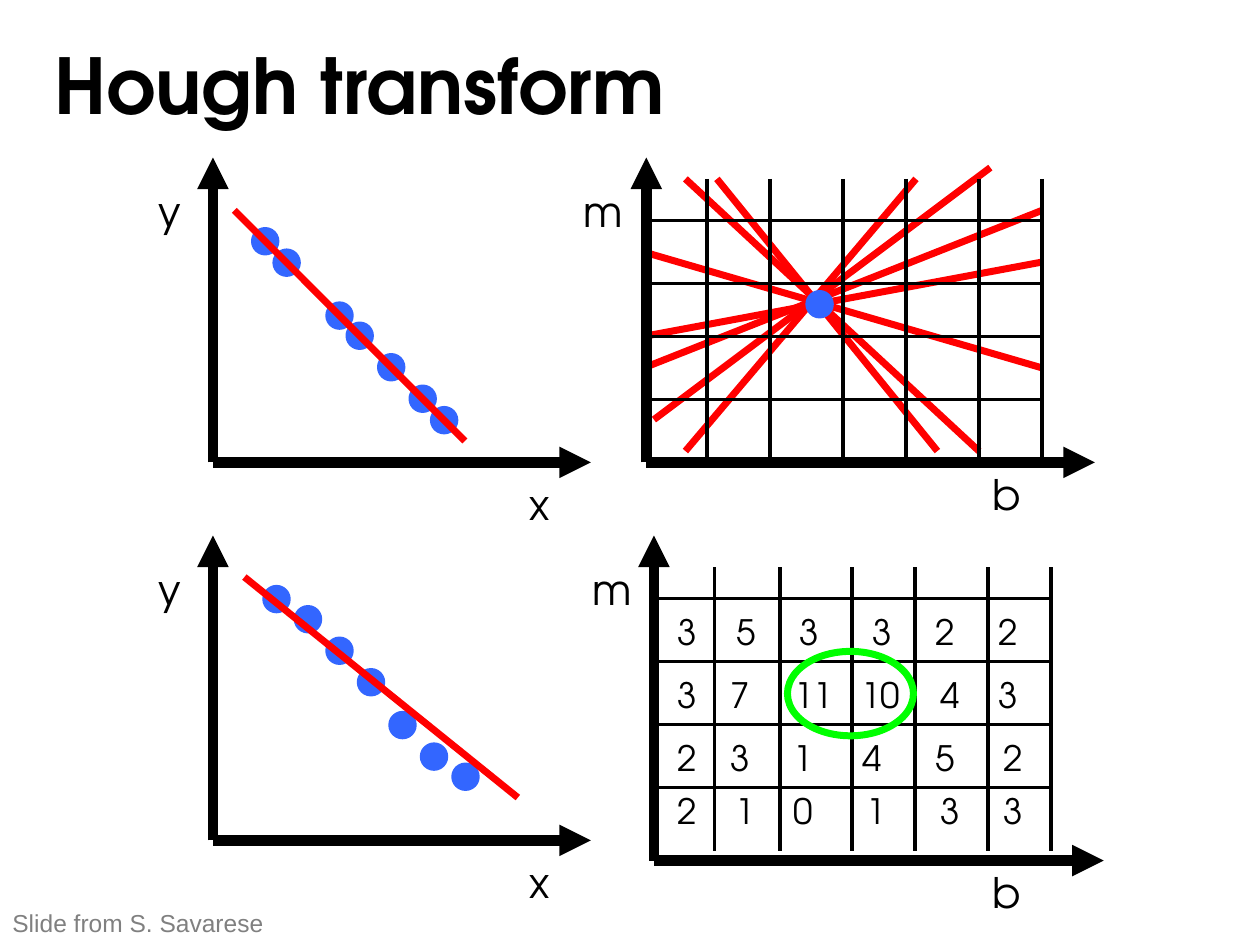
import pptx
import pptx.util
import pptx.dml.color
import pptx.enum.shapes
import pptx.enum.text
import pptx.oxml.ns
from lxml import etree

Inches = pptx.util.Inches
COLORS = {"ink": "000000", "dot": "3366FF", "fit": "FF0000", "peak": "00FF00", "credit": "808080"}
FONT = "TeX Gyre Adventor"
DOT = 0.17
VOTES = [
    (4.8, [("3", 5.27), ("5", 5.74), ("3", 6.24), ("3", 6.82), ("2", 7.32), ("2", 7.82)]),
    (5.3, [("3", 5.27), ("7", 5.69), ("11", 6.19), ("10", 6.72), ("4", 7.36), ("3", 7.82)]),
    (5.8, [("2", 5.27), ("3", 5.69), ("1", 6.19), ("4", 6.74), ("5", 7.32), ("2", 7.86)]),
    (6.22, [("2", 5.27), ("1", 5.73), ("0", 6.19), ("1", 6.77), ("3", 7.36), ("3", 7.86)]),
]


def rgb(name):
    return pptx.dml.color.RGBColor.from_string(COLORS[name])


def format_text(tf, text, size, color="ink", font=FONT, bold=False, align="CENTER", wrap=False):
    frame_format = {
        "word_wrap": wrap,
        "auto_size": pptx.enum.text.MSO_AUTO_SIZE.NONE,
        "vertical_anchor": pptx.enum.text.MSO_ANCHOR.TOP,
        "margin_left": Inches(0.1),
        "margin_right": Inches(0.1),
        "margin_top": Inches(0.05),
        "margin_bottom": Inches(0.05),
    }
    for key, value in frame_format.items():
        setattr(tf, key, value)
    p = tf.paragraphs[0]
    p.alignment = getattr(pptx.enum.text.PP_ALIGN, align)
    r = p.add_run()
    r.text = text
    for key, value in {"name": font, "size": pptx.util.Pt(size), "bold": bold}.items():
        setattr(r.font, key, value)
    r.font.color.rgb = rgb(color)


def add_title(s, text, x, y, w, h):
    sp = s.shapes.title
    for key, value in {"left": x, "top": y, "width": w, "height": h}.items():
        setattr(sp, key, Inches(value))
    format_text(sp.text_frame, text, 44, bold=True, align="LEFT", wrap=True)


def add_label(s, text, x, y, w, h=0.5, size=24, **style):
    sp = s.shapes.add_textbox(Inches(x), Inches(y), Inches(w), Inches(h))
    format_text(sp.text_frame, text, size, **style)


def add_line(s, start, end, color="ink", width=2, arrow=False):
    points = [Inches(v) for v in (*start, *end)]
    sp = s.shapes.add_connector(pptx.enum.shapes.MSO_CONNECTOR.STRAIGHT, *points)
    sp.line.color.rgb = rgb(color)
    sp.line.width = pptx.util.Pt(width)
    if arrow:
        ln = sp.line._get_or_add_ln()
        etree.SubElement(ln, pptx.oxml.ns.qn("a:tailEnd"), type="triangle")
    etree.SubElement(sp._element.spPr, pptx.oxml.ns.qn("a:effectLst"))


def add_ellipse(s, x, y, w, h, color, filled=True):
    box = [Inches(v) for v in (x, y, w, h)]
    sp = s.shapes.add_shape(pptx.enum.shapes.MSO_SHAPE.OVAL, *box)
    sp.shadow.inherit = False
    if filled:
        sp.fill.solid()
        sp.fill.fore_color.rgb = rgb(color)
    else:
        sp.fill.background()
    sp.line.color.rgb = rgb(color)
    sp.line.width = pptx.util.Pt(4)


def add_axes(s, x, y, top, right):
    add_line(s, (x, y), (x, top), width=6, arrow=True)
    add_line(s, (x, y), (right, y), width=6, arrow=True)


def add_point_plot(s, dy, dots, fit):
    for x, y in dots:
        add_ellipse(s, x, y, DOT, DOT, "dot")
    add_axes(s, 1.69, 3.67 + dy, 1.25 + dy, 4.69)
    add_label(s, "x", 4.11, 3.75 + dy, 0.35)
    add_label(s, "y", 1.17, 1.42 + dy, 0.36)
    add_line(s, *fit, color="fit", width=4)


def add_grid(s, xs, ys, left, right, top, bottom):
    for y in ys:
        add_line(s, (left, y), (right, y))
    for x in xs:
        add_line(s, (x, top), (x, bottom))


def add_parameter_space(s):
    lines = [
        ((5.44, 3.58), (7.27, 1.42)), ((7.44, 3.58), (5.69, 1.42)),
        ((5.19, 3.33), (7.86, 1.33)), ((7.77, 3.58), (5.44, 1.42)),
        ((5.11, 2.67), (8.27, 2.08)), ((5.11, 2.92), (8.27, 1.67)),
        ((5.11, 2), (8.27, 2.92)),
    ]
    for start, end in lines:
        add_line(s, start, end, color="fit", width=4)
    add_axes(s, 5.13, 3.67, 1.25, 8.69)
    add_label(s, "b", 7.79, 3.67, 0.4)
    add_label(s, "m", 4.54, 1.42, 0.49)
    add_grid(s, (5.61, 6.11, 6.69, 7.19, 7.77, 8.27), (1.75, 2.25, 2.67, 3.17),
             5.11, 8.27, 1.42, 3.67)
    add_ellipse(s, 6.42, 2.33, DOT, DOT, "dot")


def add_vote_grid(s):
    add_axes(s, 5.19, 6.83, 4.25, 8.76)
    add_label(s, "m", 4.61, 4.42, 0.49)
    add_label(s, "b", 7.79, 6.83, 0.4)
    add_grid(s, (5.67, 6.19, 6.76, 7.26, 7.84, 8.34), (4.75, 5.25, 5.75, 6.25),
             5.18, 8.35, 4.5, 6.75)
    for y, row in VOTES:
        for count, x in row:
            add_label(s, count, x, y, 0.37 if len(count) == 1 else 0.54, 0.43, 20)
    add_ellipse(s, 6.25, 5.17, 1, 0.67, "peak", filled=False)


def main():
    prs = pptx.Presentation()
    prs.slide_width, prs.slide_height = Inches(10), Inches(7.5)
    s = prs.slides.add_slide(prs.slide_layouts[5])
    add_title(s, "Hough transform", 0.33, 0.25, 5.83, 0.83)
    add_point_plot(s, 0, [(3.44, 3.25), (3.27, 3.08), (3.02, 2.83), (2.77, 2.58),
                          (2.61, 2.42), (2.19, 2), (2.02, 1.83)],
                   ((1.86, 1.67), (3.69, 3.5)))
    add_parameter_space(s)
    add_point_plot(s, 3, [(3.61, 6.08), (3.36, 5.92), (3.11, 5.67), (2.86, 5.33),
                          (2.61, 5.08), (2.36, 4.83), (2.11, 4.67)],
                   ((1.94, 4.58), (4.11, 6.33)))
    add_vote_grid(s)
    add_label(s, "Slide from S. Savarese", 0, 7.16, 2.21, 0.34, 14,
              color="credit", font="Arial", align="LEFT")
    prs.save("out.pptx")


if __name__ == "__main__":
    main()
